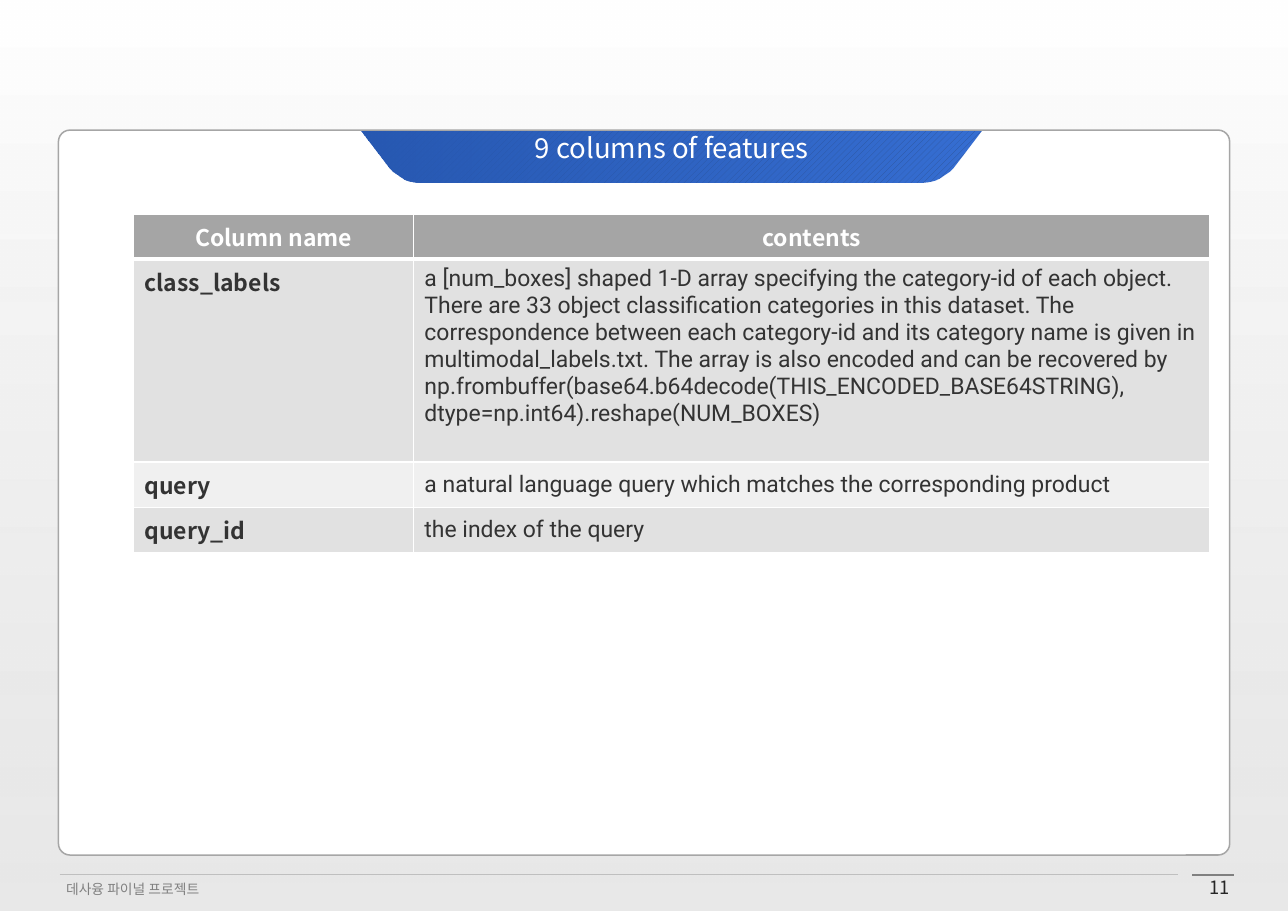
from pptx import Presentation
from pptx.dml.color import RGBColor
from pptx.enum.dml import MSO_PATTERN
from pptx.enum.shapes import MSO_CONNECTOR, MSO_SHAPE
from pptx.enum.text import MSO_ANCHOR, PP_ALIGN
from pptx.oxml.ns import qn
from pptx.oxml.xmlchemy import OxmlElement
from pptx.util import Pt

LEFT, CENTER, RIGHT = PP_ALIGN.LEFT, PP_ALIGN.CENTER, PP_ALIGN.RIGHT
TOP, MIDDLE = MSO_ANCHOR.TOP, MSO_ANCHOR.MIDDLE
RECT, ROUND = MSO_SHAPE.RECTANGLE, MSO_SHAPE.ROUNDED_RECTANGLE
STRAIGHT = MSO_CONNECTOR.STRAIGHT
STRIPES = MSO_PATTERN.WIDE_UPWARD_DIAGONAL

SANS, BODY = "Noto Sans CJK KR", "Roboto"
WHITE, INK = "FFFFFF", "333333"

ROWS = [
    ("Column name", "contents"),
    ("class_labels",
     "a [num_boxes] shaped 1-D array specifying the category-id of each object. "
     "There are 33 object classification categories in this dataset. The "
     "correspondence between each category-id and its category name is given "
     "in multimodal_labels.txt. The array is also encoded and can be recovered "
     "by np.frombuffer(base64.b64decode(THIS_ENCODED_BASE64STRING), "
     "dtype=np.int64).reshape(NUM_BOXES)"),
    ("query", "a natural language query which matches the corresponding product"),
    ("query_id", "the index of the query"),
]
FILLS = ["A5A5A5", "E1E1E1", "F0F0F0", "E1E1E1"]
WIDTHS = [182.9, 520.5]
HEIGHTS = [29.5, 132.5, 29.5, 29.5]

MID_X, RIM_Y = 438.9, 85.7
CURVE = [(202.7, 0), (184, 24.5), (181.8, 26.6), (179.6, 28.1), (177.5, 29.5),
         (175.3, 31), (172.4, 32.4), (169.6, 33.1), (167.4, 33.5), (164.5, 33.8)]


def color(code):
    """Turn a hex string into a colour."""
    return RGBColor.from_string(code)


def write(frame, text, size, ink, font=SANS, bold=False, align=LEFT):
    """Put one formatted paragraph into a text frame."""
    frame.word_wrap = True
    para = frame.paragraphs[0]
    para.alignment = align
    run = para.add_run()
    run.text = text
    run.font.size, run.font.bold, run.font.name = Pt(size), bold, font
    run.font.color.rgb = color(ink)
    asian = OxmlElement("a:ea")
    asian.set("typeface", font)
    run.font._element.append(asian)


def inset(item, left, top, right, bottom):
    """Set the four inner margins of a text frame or cell."""
    item.margin_left, item.margin_top = Pt(left), Pt(top)
    item.margin_right, item.margin_bottom = Pt(right), Pt(bottom)


def blend(shape, start, end, angle, alpha):
    """Fill a shape with a gradient whose last stop is see-through."""
    shape.fill.gradient()
    shape.fill.gradient_angle = angle
    for stop, code in zip(shape.fill.gradient_stops, (start, end)):
        stop.color.rgb = color(code)
    fade = OxmlElement("a:alpha")
    fade.set("val", str(alpha * 1000))
    shape._element.spPr.findall(".//" + qn("a:srgbClr"))[-1].append(fade)


def box(slide, kind, left, top, width, height):
    """Add a preset shape with neither shadow nor outline."""
    shape = slide.shapes.add_shape(kind, Pt(left), Pt(top), Pt(width), Pt(height))
    shape.shadow.inherit = False
    shape.line.fill.background()
    return shape


def label(slide, left, top, width, height, margin=0):
    """Add a text box with only a right margin and return its frame."""
    frame = slide.shapes.add_textbox(
        Pt(left), Pt(top), Pt(width), Pt(height)).text_frame
    inset(frame, 0, 0, margin, 0)
    frame.vertical_anchor = MIDDLE
    return frame


def rule(slide, start, end, y, ink, weight):
    """Draw a level line."""
    line = slide.shapes.add_connector(STRAIGHT, Pt(start), Pt(y), Pt(end), Pt(y))
    line.line.color.rgb = color(ink)
    line.line.width = Pt(weight)
    line._element.spPr.append(OxmlElement("a:effectLst"))


def banner(slide):
    """Add the symmetric banner outline."""
    half = [(MID_X - x, RIM_Y + y) for x, y in CURVE]
    other = [(MID_X + x, RIM_Y + y) for x, y in reversed(CURVE)]
    first, *rest = [(Pt(x), Pt(y)) for x, y in half + other]
    path = slide.shapes.build_freeform(*first)
    path.add_line_segments(rest, close=True)
    shape = path.convert_to_shape()
    shape.shadow.inherit = False
    shape.line.fill.background()
    return shape


def border(cell, **sides):
    """Give a cell white borders of the named widths."""
    props = cell._tc.get_or_add_tcPr()
    for side, weight in sides.items():
        line = OxmlElement("a:ln" + side)
        line.set("w", str(Pt(weight)))
        paint = OxmlElement("a:solidFill")
        tone = OxmlElement("a:srgbClr")
        tone.set("val", WHITE)
        paint.append(tone)
        line.append(paint)
        props.append(line)


def grid(slide):
    """Add the table of column names and contents."""
    table = slide.shapes.add_table(
        len(ROWS), len(WIDTHS), Pt(87.3), Pt(140),
        Pt(sum(WIDTHS)), Pt(sum(HEIGHTS))).table
    for column, width in zip(table.columns, WIDTHS):
        column.width = Pt(width)
    for r, texts in enumerate(ROWS):
        table.rows[r].height = Pt(HEIGHTS[r])
        for c, text in enumerate(texts):
            cell = table.cell(r, c)
            head, body = r == 0, r > 0 and c == 1
            border(cell, L=1, R=1, T=3 if r == 1 else 1, B=3 if head else 1)
            cell.fill.solid()
            cell.fill.fore_color.rgb = color(FILLS[r])
            inset(cell, 7.2, 3.6, 7.2, 3.6)
            cell.vertical_anchor = MIDDLE if body and r > 1 else TOP
            write(cell.text_frame, text, 15, WHITE if head else INK,
                  font=BODY if body else SANS, bold=not body,
                  align=CENTER if head else LEFT)


def main():
    """Build and save the slide."""
    deck = Presentation()
    deck.slide_width, deck.slide_height = Pt(841.7), Pt(595.4)
    slide = deck.slides.add_slide(deck.slide_layouts[6])

    blend(box(slide, RECT, 0, 0, 841.7, 595.4), WHITE, "D9D9D9", 270, 58)
    write(label(slide, 578.9, 571.7, 236.9, 15.8, margin=12.3),
          "11", 12, "262626", align=RIGHT)
    rule(slide, 38.9, 769.7, 571.7, "BFBFBF", 0.5)
    rule(slide, 779, 806.4, 571.7, "808080", 1.25)
    write(label(slide, 43.2, 574.5, 308.2, 13), "데사융 파이널 프로젝트", 9, "808080")

    panel = box(slide, ROUND, 38.2, 85, 765.4, 473.8)
    panel.adjustments[0] = 0.016
    panel.fill.solid()
    panel.fill.fore_color.rgb = color(WHITE)
    panel.line.color.rgb = color("A6A6A6")
    panel.line.width = Pt(1)

    back = banner(slide)
    back.fill.patterned()
    back.fill.pattern = STRIPES
    back.fill.fore_color.rgb = color("2F5597")
    back.fill.back_color.rgb = color("366ED2")
    front = banner(slide)
    blend(front, "2859B2", "2859B2", 0, 0)
    inset(front.text_frame, 0, 0, 0, 0)
    front.text_frame.vertical_anchor = TOP
    write(front.text_frame, "9 columns of features", 18, WHITE, align=CENTER)

    grid(slide)
    deck.save("out.pptx")


if __name__ == "__main__":
    main()
